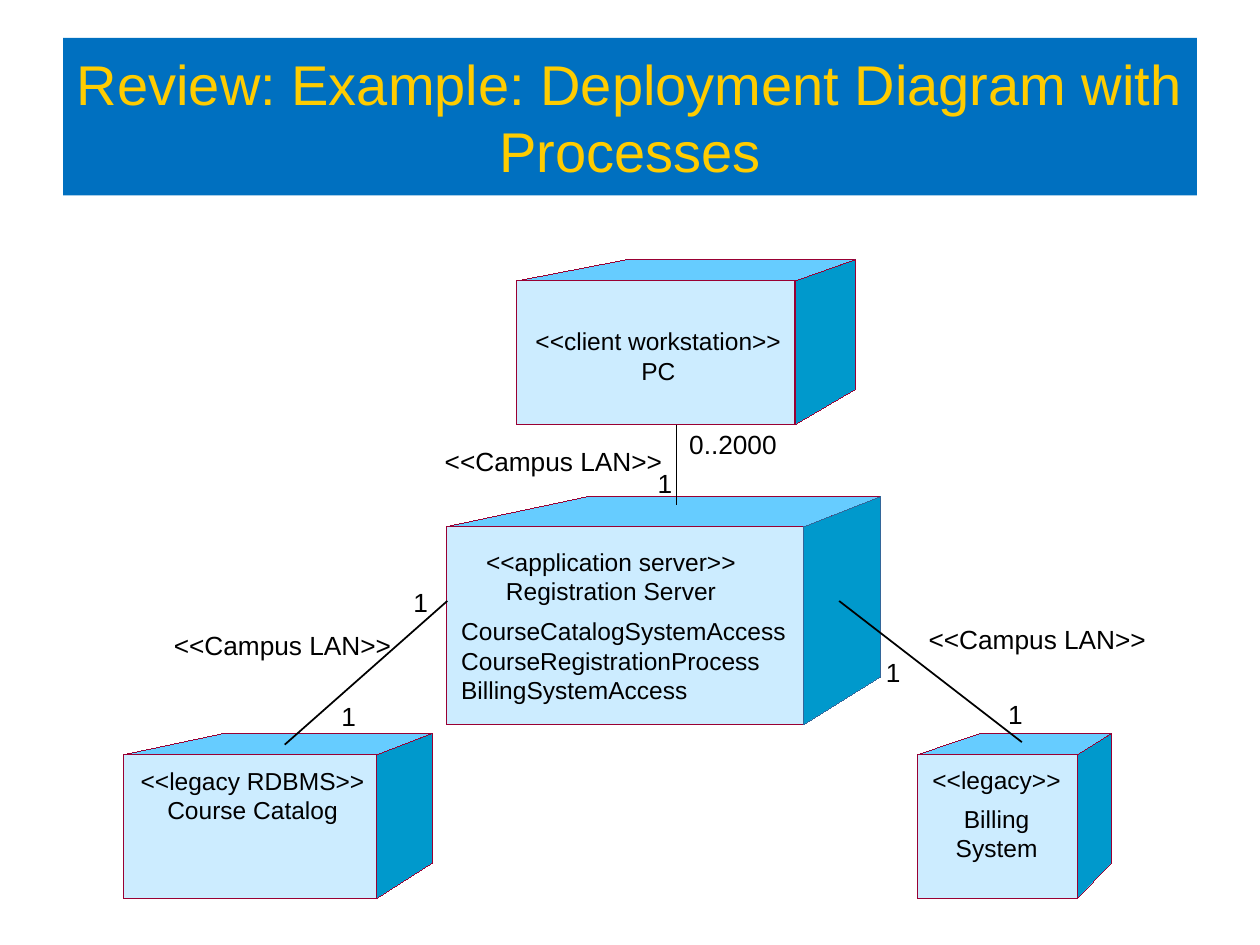
from lxml import etree
from pptx import Presentation
from pptx.dml.color import RGBColor
from pptx.enum.shapes import MSO_CONNECTOR, MSO_SHAPE
from pptx.enum.text import MSO_ANCHOR, MSO_AUTO_SIZE, PP_ALIGN
from pptx.oxml.ns import qn
from pptx.util import Inches, Pt

RECTANGLE = MSO_SHAPE.RECTANGLE
STRAIGHT = MSO_CONNECTOR.STRAIGHT
LEFT, CENTER = PP_ALIGN.LEFT, PP_ALIGN.CENTER
MIDDLE = MSO_ANCHOR.MIDDLE
FIT_SHAPE, NO_FIT = MSO_AUTO_SIZE.SHAPE_TO_FIT_TEXT, MSO_AUTO_SIZE.NONE

FONT = "Arial"
BLACK = "000000"
TITLE_FILL, TITLE_TEXT = "0070C0", "FFCC00"
FRONT, TOP, SIDE = "CCECFF", "66CCFF", "0099CC"
EDGE, SERVER_SIDE_EDGE = "990033", "336699"
HAIRLINE = Pt(0.01)
NODE_SIZE, LINK_SIZE = 14, 15

# front left, front top, front width, front height,
# depth right, depth up, left end of the back edge, back height, side edge
NODES = [
    (0.98, 5.99, 2.01, 1.14, 0.44, 0.17, 1.78, 1.03, EDGE),
    (3.54, 4.18, 2.84, 1.57, 0.61, 0.24, 4.67, 1.43, SERVER_SIDE_EDGE),
    (4.10, 2.23, 2.21, 1.14, 0.48, 0.17, 4.98, 1.03, EDGE),
    (7.28, 5.99, 1.27, 1.14, 0.27, 0.17, 7.78, 1.03, EDGE),
]
LINKS = [
    (3.55, 4.77, 2.26, 5.91),
    (5.37, 3.37, 5.37, 4.01),
    (6.66, 4.77, 8.11, 5.89),
]
# left, top, width, height, alignment, paragraphs ("\v" breaks a line)
NODE_TEXTS = [
    (1.03, 6.08, 1.95, 0.47, CENTER, ["<<legacy RDBMS>>", "Course Catalog"]),
    (3.80, 4.34, 2.10, 0.47, CENTER, ["<<application server>>", "Registration Server"]),
    (4.17, 2.59, 2.11, 0.47, CENTER, ["<<client workstation>>", "PC"]),
    (3.66, 4.89, 2.72, 0.70, LEFT,
     ["CourseCatalogSystemAccess\vCourseRegistrationProcess\vBillingSystemAccess"]),
    (7.30, 6.38, 1.22, 0.47, CENTER, ["Billing\vSystem"]),
    (7.40, 6.07, 1.15, 0.23, LEFT, ["<<legacy>>"]),
]
NETWORK_POSITIONS = [(3.53, 3.53), (7.37, 4.95), (1.38, 4.99)]
ONE_POSITIONS = [(2.71, 5.56), (3.28, 4.65), (7.03, 5.21), (8.00, 5.54), (5.22, 3.71)]


def color(value):
    return RGBColor.from_string(value)


def write_text(text_frame, paragraphs, size, text_color=BLACK, align=LEFT):
    for index, text in enumerate(paragraphs):
        paragraph = text_frame.paragraphs[0] if index == 0 else text_frame.add_paragraph()
        paragraph.text = text
        paragraph.alignment = align
        paragraph.font.name = FONT
        paragraph.font.size = Pt(size)
        paragraph.font.color.rgb = color(text_color)


def add_text(slide, left, top, width, height, paragraphs, size, align=LEFT, wrap=False):
    box = slide.shapes.add_textbox(*map(Inches, (left, top, width, height)))
    frame = box.text_frame
    frame.margin_left = frame.margin_top = frame.margin_right = frame.margin_bottom = 0
    frame.word_wrap = wrap
    frame.auto_size = FIT_SHAPE
    write_text(frame, paragraphs, size, align=align)


def style_face(shape, fill, edge):
    shape.shadow.inherit = False
    shape.fill.solid()
    shape.fill.fore_color.rgb = color(fill)
    shape.line.color.rgb = color(edge)
    shape.line.width = HAIRLINE


def add_face(shapes, points, fill, edge):
    start, *others = [(Inches(x), Inches(y)) for x, y in points]
    builder = shapes.build_freeform(*start)
    builder.add_line_segments(others, close=True)
    style_face(builder.convert_to_shape(), fill, edge)


def add_node(slide, left, top, width, height, depth, rise, back_left, back_height, side_edge):
    """Add a box in oblique view as a group of front, top and side faces."""
    shapes = slide.shapes.add_group_shape().shapes
    right, bottom = left + width, top + height
    back_right, back_top = right + depth, top - rise
    front = shapes.add_shape(RECTANGLE, *map(Inches, (left, top, width, height)))
    style_face(front, FRONT, EDGE)
    add_face(shapes, [(left, top), (back_left, back_top), (back_right, back_top),
                      (right, top)], TOP, EDGE)
    add_face(shapes, [(right, top), (back_right, back_top),
                      (back_right, back_top + back_height), (right, bottom)],
             SIDE, side_edge)


def add_link(slide, *ends):
    link = slide.shapes.add_connector(STRAIGHT, *map(Inches, ends))
    link.line.color.rgb = color(BLACK)
    link.line.width = Pt(1)
    etree.SubElement(link._element.spPr, qn("a:effectLst"))


def set_title(slide, text):
    title = slide.shapes.title
    title.left, title.top, title.width, title.height = map(Inches, (0.5, 0.3, 9, 1.25))
    title.fill.solid()
    title.fill.fore_color.rgb = color(TITLE_FILL)
    frame = title.text_frame
    frame.word_wrap = True
    frame.auto_size = NO_FIT
    frame.vertical_anchor = MIDDLE
    write_text(frame, [text], 32, text_color=TITLE_TEXT, align=CENTER)


def main():
    presentation = Presentation()
    presentation.slide_width, presentation.slide_height = Inches(10), Inches(7.5)
    slide = presentation.slides.add_slide(presentation.slide_layouts.get_by_name("Title Only"))

    set_title(slide, "Review: Example: Deployment Diagram with Processes")
    for node in NODES:
        add_node(slide, *node)
    for link in LINKS:
        add_link(slide, *link)
    for left, top, width, height, align, paragraphs in NODE_TEXTS:
        add_text(slide, left, top, width, height, paragraphs, NODE_SIZE, align, wrap=True)
    for left, top in NETWORK_POSITIONS:
        add_text(slide, left, top, 1.73, 0.25, ["<<Campus LAN>>"], LINK_SIZE)
    for left, top in ONE_POSITIONS:
        add_text(slide, left, top, 0.12, 0.25, ["1"], LINK_SIZE)
    add_text(slide, 5.47, 3.4, 0.7, 0.25, ["0..2000"], LINK_SIZE)

    presentation.save("out.pptx")


if __name__ == "__main__":
    main()
